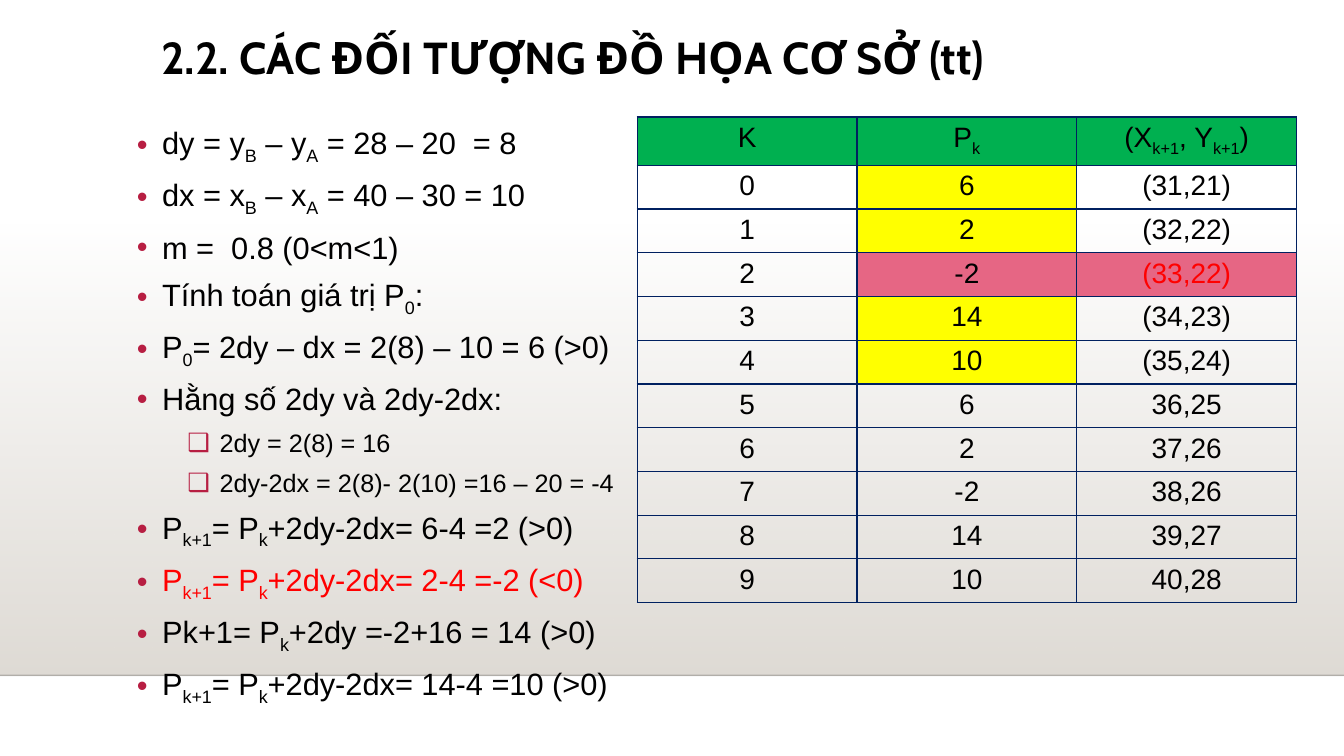
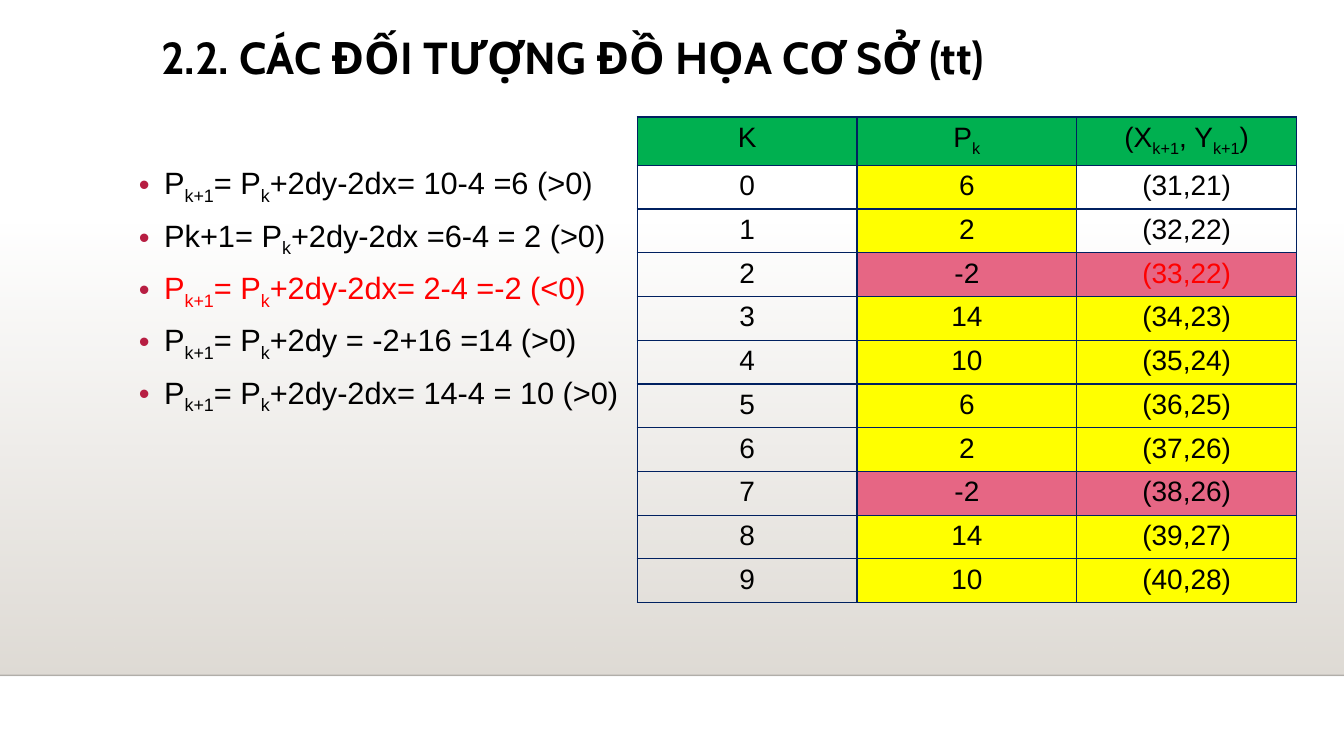
from lxml.etree import SubElement
from pptx import Presentation
from pptx.dml.color import RGBColor
from pptx.enum.shapes import MSO_CONNECTOR, MSO_SHAPE
from pptx.enum.text import MSO_ANCHOR, PP_ALIGN
from pptx.oxml.ns import qn
from pptx.util import Inches, Pt

WIDE, HIGH = 13.33, 7.5
BLACK, RED, ROSE, NAVY = "000000", "FF0000", "B71E42", "002060"
SAND, GREEN = "DFDBD5", "00B050"
MARKS = {"Y": "FFFF00", "P": "E66684"}
TITLE = "2.2. CÁC ĐỐI TƯỢNG ĐỒ HỌA CƠ SỞ (tt)"
HEAD = ("K", "P_k_", "(X_k+1_, Y_k+1_)")
STEPS = (6, 2, -2, 14, 10, 6, 2, -2, 14, 10)
LEVELS = (
    {"bullet": "•", "left": 0.25, "hang": 0.25, "size": 22},
    {"bullet": "❑", "left": 0.82, "hang": 0.32, "size": 18},
)
SLIDES = [
    {
        "body": (1.26, 1.18, 5.06, 5.2),
        "lines": [
            (0, BLACK, "dy = y_B_ – y_A_ = 28 – 20  = 8"),
            (0, BLACK, "dx = x_B_ – x_A_ = 40 – 30 = 10"),
            (0, BLACK, "m =  0.8 (0<m<1)"),
            (0, BLACK, "Tính toán giá trị P_0_:"),
            (0, BLACK, "P_0_= 2dy – dx = 2(8) – 10 = 6 (>0)"),
            (0, BLACK, "Hằng số 2dy và 2dy-2dx:"),
            (1, BLACK, "2dy = 2(8) = 16"),
            (1, BLACK, "2dy-2dx = 2(8)- 2(10) =16 – 20 = -4"),
            (0, BLACK, "P_k+1_= P_k_+2dy-2dx= 6-4 =2 (>0)"),
            (0, RED, "P_k+1_= P_k_+2dy-2dx= 2-4 =-2 (<0)"),
            (0, BLACK, "Pk+1= P_k_+2dy =-2+16 = 14 (>0)"),
            (0, BLACK, "P_k+1_= P_k_+2dy-2dx= 14-4 =10 (>0)"),
        ],
        "points": ("(31,21)", "(32,22)", "(33,22)", "(34,23)", "(35,24)",
                   "36,25", "37,26", "38,26", "39,27", "40,28"),
        "marks": ("..........", "YYPYY.....", "..P......."),
    },
    {
        "body": (1.28, 1.58, 5.06, 4.37),
        "lines": [
            (0, BLACK, "P_k+1_= P_k_+2dy-2dx= 10-4 =6 (>0)"),
            (0, BLACK, "Pk+1= P_k_+2dy-2dx =6-4 = 2 (>0)"),
            (0, RED, "P_k+1_= P_k_+2dy-2dx= 2-4 =-2 (<0)"),
            (0, BLACK, "P_k+1_= P_k_+2dy = -2+16 =14 (>0)"),
            (0, BLACK, "P_k+1_= P_k_+2dy-2dx= 14-4 = 10 (>0)"),
        ],
        "points": ("(31,21)", "(32,22)", "(33,22)", "(34,23)", "(35,24)",
                   "(36,25)", "(37,26)", "(38,26)", "(39,27)", "(40,28)"),
        "marks": ("..........", "YYPYYYYPYY", "..PYYYYPYY"),
    },
]


def rgb(code):
    return RGBColor.from_string(code)


def box(*sides):
    return [Inches(side) for side in sides]


def style(font, color, **form):
    for name, value in form.items():
        setattr(font, name, value)
    font.color.rgb = rgb(color)


def write(para, text, color, **form):
    for spot, part in enumerate(text.split("_")):
        if part:
            run = para.add_run()
            run.text = part
            style(run.font, color, **form)
            if spot % 2:
                run.font._element.set("baseline", "-25000")


def fade(node, share):
    SubElement(node, qn("a:alpha"), val=str(share * 1000))


def frame(slide, place):
    text = slide.shapes.add_textbox(*box(*place)).text_frame
    form = {"word_wrap": True, "vertical_anchor": MSO_ANCHOR.TOP}
    for name, value in form.items():
        setattr(text, name, value)
    return text


def base(slide):
    band = slide.shapes.add_shape(MSO_SHAPE.RECTANGLE, *box(0, 2.21, WIDE, 4.49))
    band.shadow.inherit = False
    band.line.fill.background()
    band.fill.gradient()
    band.fill.gradient_angle = 270
    for stop, place in zip(band.fill.gradient_stops, (0, 1)):
        stop.position = place
        stop.color.rgb = rgb(SAND)
    fade(next(band._element.iter(qn("a:srgbClr"))), 0)
    rule = slide.shapes.add_connector(MSO_CONNECTOR.STRAIGHT, *box(0, 6.7, WIDE, 6.7))
    rule.line.width = Pt(1)
    rule.line.color.rgb = rgb("000001")
    fade(next(rule._element.iter(qn("a:srgbClr"))), 20)
    SubElement(rule._element.spPr, qn("a:effectLst"))
    para = frame(slide, (1.5, 0.31, 10.5, 0.67)).paragraphs[0]
    para.line_spacing = 0.9
    write(para, TITLE, BLACK, name="Cabin", size=Pt(32), bold=True)


def bullets(slide, place, lines):
    text = frame(slide, place)
    for spot, (level, color, line) in enumerate(lines):
        para = text.add_paragraph() if spot else text.paragraphs[0]
        look = LEVELS[level]
        props = para._p.get_or_add_pPr()
        props.set("marL", str(Inches(look["left"])))
        props.set("indent", str(-Inches(look["hang"])))
        tint = SubElement(props, qn("a:buClr"))
        SubElement(tint, qn("a:srgbClr"), val=ROSE)
        SubElement(props, qn("a:buFont"), typeface="Arial")
        SubElement(props, qn("a:buChar"), char=look["bullet"])
        para.space_before = Pt(7.3 if spot else 0)
        write(para, line, color, name="Arial", size=Pt(look["size"]))


def border(cell):
    props = cell._tc.get_or_add_tcPr()
    for side in ("lnL", "lnR", "lnT", "lnB"):
        edge = SubElement(props, qn("a:" + side), w=str(Pt(1)))
        fill = SubElement(edge, qn("a:solidFill"))
        SubElement(fill, qn("a:srgbClr"), val=NAVY)


def grid(slide, points, marks):
    rows = [HEAD] + [(str(k), str(p), xy) for k, (p, xy) in enumerate(zip(STEPS, points))]
    tall = [0.46] + [4.25 / len(STEPS)] * len(STEPS)
    place = box(6.32, 1.16, 6.54, sum(tall))
    table = slide.shapes.add_table(len(rows), len(HEAD), *place).table
    table.first_row = table.horz_banding = False
    for col in table.columns:
        col.width = Inches(6.54 / len(HEAD))
    for r, row in enumerate(rows):
        table.rows[r].height = Inches(tall[r])
        for c, value in enumerate(row):
            cell = table.cell(r, c)
            border(cell)
            shade = MARKS.get(marks[c][r - 1]) if r else GREEN
            if shade:
                cell.fill.solid()
                cell.fill.fore_color.rgb = rgb(shade)
            else:
                cell.fill.background()
            para = cell.text_frame.paragraphs[0]
            para.alignment = PP_ALIGN.CENTER
            color = RED if value == "(33,22)" else BLACK
            write(para, value, color, name="Arial", size=Pt(20))


def main():
    deck = Presentation()
    deck.slide_width, deck.slide_height = box(WIDE, HIGH)
    for data in SLIDES:
        slide = deck.slides.add_slide(deck.slide_layouts[6])
        base(slide)
        bullets(slide, data["body"], data["lines"])
        grid(slide, data["points"], data["marks"])
    deck.save("out.pptx")


if __name__ == "__main__":
    main()
